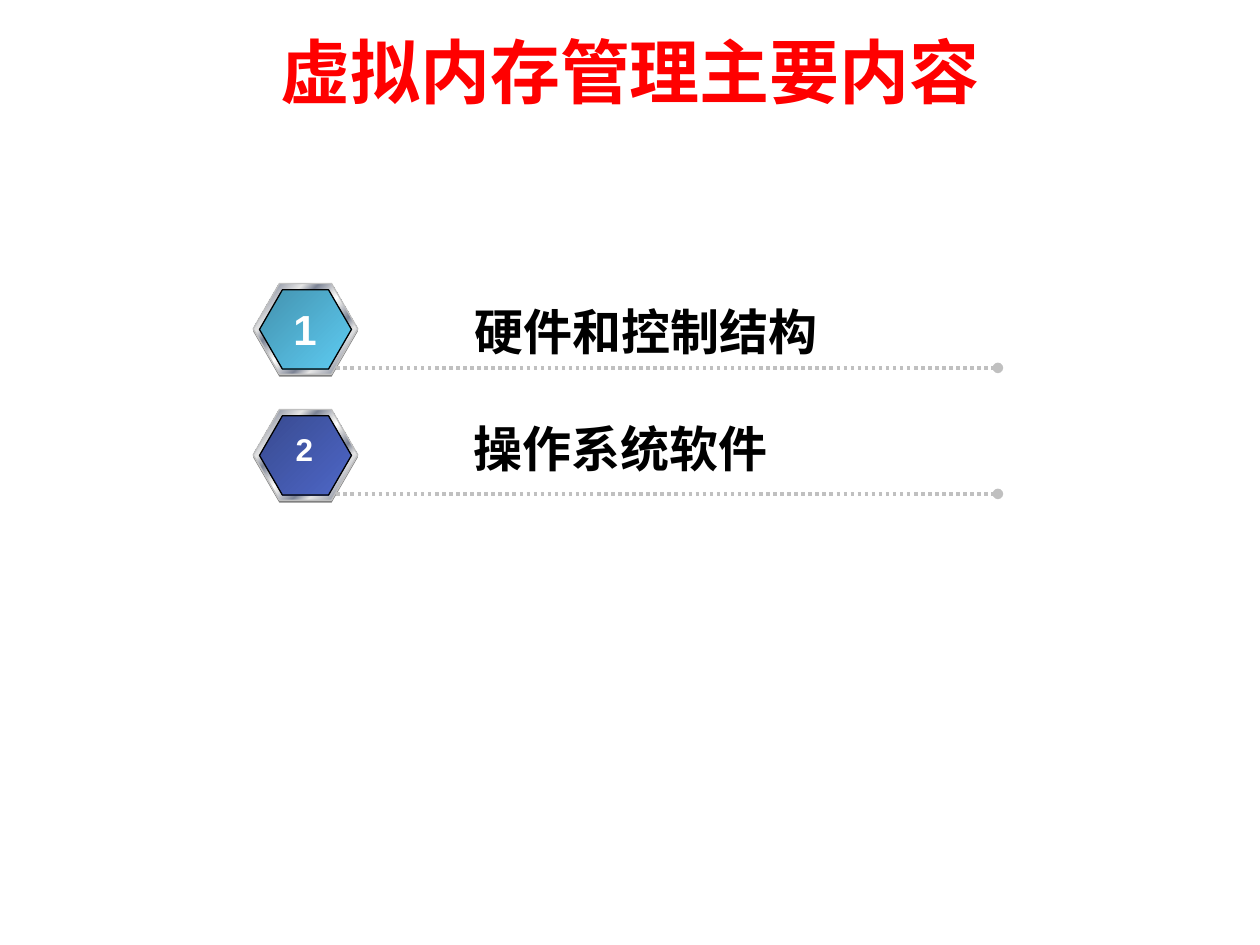
from lxml import etree
from pptx import Presentation
from pptx import util as u
from pptx.dml.color import RGBColor
from pptx.enum import dml, shapes, text
from pptx.oxml.ns import qn

METAL = [(0, "E6E6E6"), (8, "7D8496"), (26, "E6E6E6"), (34, "7D8496"),
         (46, "E6E6E6"), (50, "FFFFFF"), (54, "E6E6E6"), (66, "7D8496"),
         (74, "E6E6E6"), (92, "7D8496"), (100, "E6E6E6")]


def color(value):
    """Return the colour for a hex string."""
    return RGBColor.from_string(value)


def add_text(parent, box, content, size, ink, centered=False, wrap=True,
             anchor=text.MSO_ANCHOR.TOP):
    """Add a bold one-line text box."""
    shape = parent.add_textbox(*map(u.Inches, box))
    frame = shape.text_frame
    frame.text = content
    frame.word_wrap = wrap
    frame.vertical_anchor = anchor
    paragraph = frame.paragraphs[0]
    paragraph.alignment = text.PP_ALIGN.CENTER if centered else text.PP_ALIGN.LEFT
    font = paragraph.runs[0].font
    font.name, font.size, font.bold = "Arial", u.Pt(size), True
    font.color.rgb = color(ink)


def fill_gradient(shape, stops):
    """Fill a shape with a diagonal gradient from percent and colour pairs."""
    shape.fill.gradient()
    shape.fill.gradient_angle = 315
    stop_list = shape._element.spPr.find(".//" + qn("a:gsLst"))
    for stop in list(stop_list):
        stop_list.remove(stop)
    for percent, value in stops:
        stop = etree.SubElement(stop_list, qn("a:gs"), pos=str(percent * 1000))
        etree.SubElement(stop, qn("a:srgbClr"), val=value)


def add_hexagon(parent, box, stops=None, outline=None):
    """Add a hexagon, plain grey unless gradient stops are given."""
    shape = parent.add_shape(shapes.MSO_SHAPE.HEXAGON, *map(u.Inches, box))
    shape.adjustments[0] = 0.289
    shape.shadow.inherit = False
    if stops:
        fill_gradient(shape, stops)
    else:
        shape.fill.solid()
        shape.fill.fore_color.rgb = color("808080")
    if outline:
        shape.line.color.rgb = color(outline)
        shape.line.width = u.Pt(0.75)
    else:
        shape.line.fill.background()


def add_dotted_line(parent, left, right, y):
    """Add a dotted line that ends in a round dot."""
    line = parent.add_connector(shapes.MSO_CONNECTOR.STRAIGHT, u.Inches(left),
                                u.Inches(y), u.Inches(right), u.Inches(y))
    line.line.color.rgb = color("C0C0C0")
    line.line.width = u.Pt(2)
    line.line.dash_style = dml.MSO_LINE.ROUND_DOT
    etree.SubElement(line.line._get_or_add_ln(), qn("a:tailEnd"), type="oval")
    etree.SubElement(line._element.spPr, qn("a:effectLst"))


def add_item(slide, box, number, number_size, stops, label, label_box):
    """Add a numbered badge, its underline and its label within a box."""
    left, top, width, height = box
    parent = slide.shapes.add_group_shape().shapes
    add_hexagon(parent, (left, top + 0.02, 0.83, 0.72))
    add_hexagon(parent, (left, top, 0.83, 0.72), METAL, "C0C0C0")
    add_dotted_line(parent, left + 0.66, left + width, top + height)
    add_hexagon(parent, (left + 0.05, top + 0.05, 0.73, 0.63), stops, "000000")
    add_text(parent, (left + 0.22, top + 0.11, 0.37, 0.51), number, number_size,
             "FFFFFF", centered=True, wrap=False)
    dx, dy, label_width, label_height = label_box
    add_text(slide.shapes, (left + dx, top + dy, label_width, label_height),
             label, 28, "000000")


def main():
    """Build the slide and save it."""
    presentation = Presentation()
    presentation.slide_width = u.Inches(10)
    presentation.slide_height = u.Inches(7.5)
    slide = presentation.slides.add_slide(presentation.slide_layouts[6])
    add_text(slide.shapes, (0.5, 0.05, 9, 1.02), "虚拟内存管理主要内容", 40, "FF0000",
             centered=True, anchor=text.MSO_ANCHOR.MIDDLE)
    items = [
        ("1", 24, [(0, "4392AE"), (100, "5ECCF3")], "硬件和控制结构",
         (1.66, 0.09, 3.3, 0.57)),
        ("2", 18, [(0, "384A8F"), (100, "4E67C8")], "操作系统软件",
         (1.65, 0.02, 4.48, 0.57)),
    ]
    for index, item in enumerate(items):
        add_item(slide, (2.01, 2.25 + index, 5.91, 0.67), *item)
    presentation.save("out.pptx")


if __name__ == "__main__":
    main()
